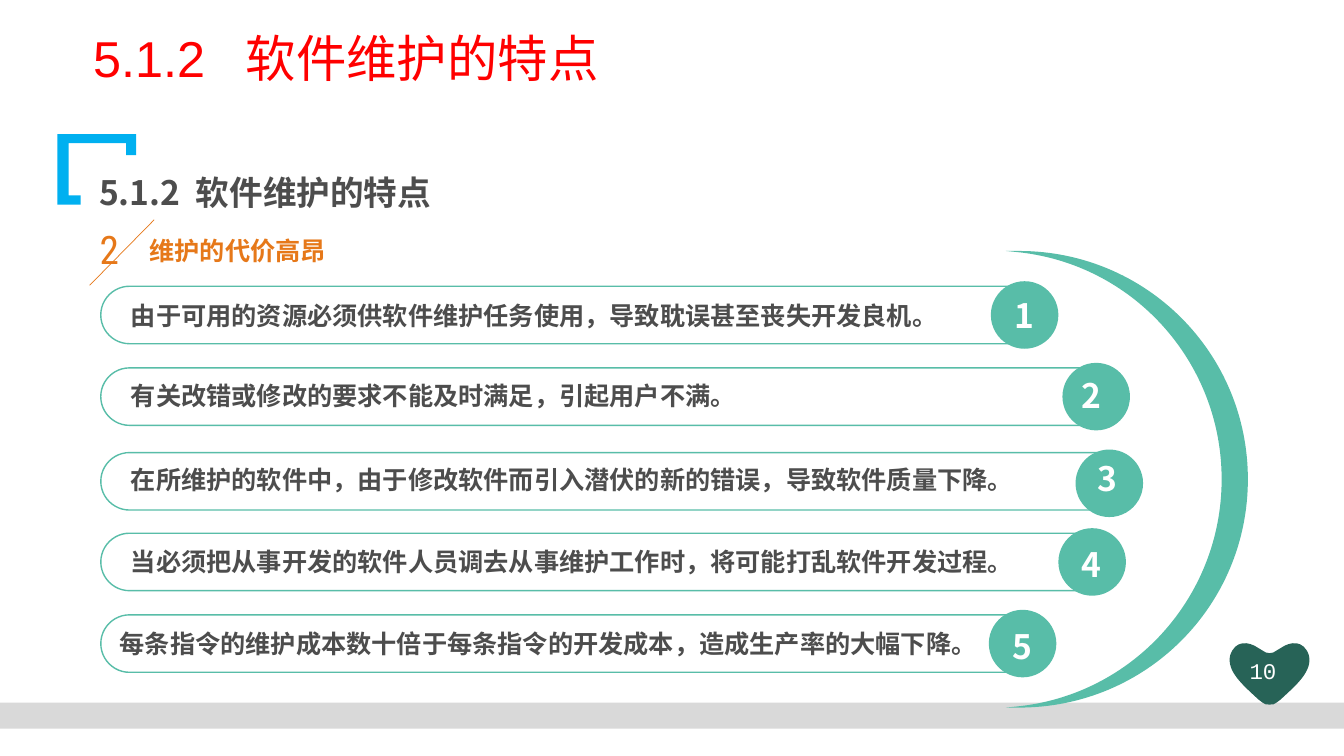
import pptx
import pptx.dml.color
import pptx.enum.shapes
import pptx.enum.text
import pptx.oxml.ns
import pptx.util
from lxml import etree

HUES = {
    "teal": "58BDA8", "pine": "276357", "blue": "00B0F0", "grey": "D9D9D9",
    "red": "FF0000", "ink": "4D4D4D", "gold": "E67819", "white": "FFFFFF",
}
CELL = 91440  # one grid cell is a tenth of an inch
WIDE, HIGH = 133.33, 75
SANS = "Noto Sans CJK SC"
qn = pptx.oxml.ns.qn

HEAD = {"name": "Arial", "size": 36, "bold": False, "color": "red"}
TOPIC = {"name": SANS, "size": 24, "bold": True, "color": "ink"}
POINT = {"name": SANS, "size": 18, "bold": True, "color": "ink"}
LABEL = {"name": SANS, "size": 18, "bold": True, "color": "gold"}
COUNT = {"name": "Roboto Condensed", "size": 28, "bold": False, "color": "gold"}
BADGE = {"name": SANS, "size": 24, "bold": True, "color": "white"}
PAGE = {"name": "Courier New", "size": 16, "bold": False, "color": "white"}

# row top, pill width, badge (left, top), number (left, top),
# text (left, top, width), text
ROWS = [
    (28.4, 94.7, (98.3, 27.9), (99.7, 28.75), (12, 29.3, 83),
     "由于可用的资源必须供软件维护任务使用，导致耽误甚至丧失开发良机。"),
    (36.5, 101.6, (105.4, 36), (106.3, 36.7), (12, 37.2, 98.2),
     "有关改错或修改的要求不能及时满足，引起用户不满。"),
    (44.9, 102.9, (106.7, 44.6), (107.9, 44.9), (12, 45.6, 121.3),
     "在所维护的软件中，由于修改软件而引入潜伏的新的错误，导致软件质量下降。"),
    (52.9, 101.2, (105, 52.4), (106.3, 53.5), (12, 53.7, 101.4),
     "当必须把从事开发的软件人员调去从事维护工作时，将可能打乱软件开发过程。"),
    (61, 94.5, (98.1, 60.5), (99.5, 61.6), (10.9, 61.8, 94.6),
     "每条指令的维护成本数十倍于每条指令的开发成本，造成生产率的大幅下降。"),
]


def grid(*cells):
    return [pptx.util.Emu(round(c * CELL)) for c in cells]


def hue(name):
    return pptx.dml.color.RGBColor.from_string(HUES[name])


def paint(shape, fill, line=None):
    shape.shadow.inherit = False
    shape.fill.solid()
    shape.fill.fore_color.rgb = hue(fill)
    if line:
        shape.line.color.rgb = hue(line)
        shape.line.width = pptx.util.Pt(1)
    else:
        shape.line.fill.background()


def block(slide, kind, box, fill, line=None):
    kind = getattr(pptx.enum.shapes.MSO_SHAPE, kind)
    shape = slide.shapes.add_shape(kind, *grid(*box))
    paint(shape, fill, line)
    return shape


def outline(slide, dots, fill, marks=""):
    """Closed outline; each mark is L (one dot) or C (a curve of three dots)."""
    dots = [(x * 100, y * 100) for x, y in dots]
    draft = slide.shapes.build_freeform(*dots[0], scale=CELL / 100)
    draft.add_line_segments(dots[1:], close=True)
    shape = draft.convert_to_shape()
    paint(shape, fill)
    steps = iter(list(shape._element.iter(qn("a:lnTo"))))
    for mark in marks:
        step = next(steps)
        if mark == "C":
            curve = etree.Element(qn("a:cubicBezTo"))
            step.addprevious(curve)
            for part in (step, next(steps), next(steps)):
                curve.append(part[0])
                part.getparent().remove(part)


def text(slide, box, words, style, space=None, tab=None, align="LEFT", wrap=True):
    """Add one line of text; tab is the stop, in cells, for a gap in it."""
    frame = slide.shapes.add_textbox(*grid(*box)).text_frame
    frame.word_wrap = wrap
    para = frame.paragraphs[0]
    para.alignment = getattr(pptx.enum.text.PP_ALIGN, align)
    if space:
        para.line_spacing = space
    if tab:
        stops = etree.SubElement(para._p.get_or_add_pPr(), qn("a:tabLst"))
        etree.SubElement(stops, qn("a:tab"), pos=str(round(tab * CELL)), algn="l")
    run = para.add_run()
    run.text = words
    for key, value in style.items():
        if key == "color":
            run.font.color.rgb = hue(value)
        else:
            setattr(run.font, key, pptx.util.Pt(value) if key == "size" else value)
    face = etree.SubElement(run._r.get_or_add_rPr(), qn("a:ea"))
    face.set("typeface", SANS)


def slash(slide, start, end, color):
    line = slide.shapes.add_connector(
        pptx.enum.shapes.MSO_CONNECTOR.STRAIGHT, *grid(*start, *end))
    line.line.color.rgb = hue(color)
    line.line.width = pptx.util.Pt(0.5)
    etree.SubElement(line._element.spPr, qn("a:effectLst"))


def heart(slide, mid):
    """Trace the right half upwards, then mirror it."""
    half = [(0, 69.9), (0.3, 69.9), (0.5, 69.9), (0.7, 69.7),
            (0.7, 69.7), (0.7, 69.7), (1.1, 69.4),
            (2.6, 68), (4.3, 66.6), (3.9, 65),
            (3.4, 63.5), (2.1, 63.6), (1.1, 64.3),
            (0.6, 64.6), (0.6, 64.6), (0.6, 64.6),
            (0.5, 64.7), (0.3, 64.8), (0, 64.8)]
    right = [(mid + x, y) for x, y in half]
    left = [(mid - x, y) for x, y in reversed(half)]
    outline(slide, right + left[1:], "pine", "C" * 12)


def moon(slide, mid):
    """Trace the lower half of each edge and mirror it upwards."""
    inner = [(101.1, 22.65), (99.8, 22.65), (100.8, 22.55),
             (112.3, 21.45), (121.2, 11.75), (121.2, 0)]
    outer = [(113.7, 22.65), (123.8, 12.55), (123.8, 0)]
    dots = inner + [(x, -y) for x, y in reversed(inner[:-1])]
    dots += [(x, -y) for x, y in outer] + outer[-2::-1] + inner[:1]
    outline(slide, [(x, mid + y) for x, y in dots], "teal", "LLCCLLCC")


def row(slide, number, top, wide, disc, spot, line, words):
    pill = block(slide, "ROUNDED_RECTANGLE", (10, top, wide, 5.7), "white", "teal")
    pill.adjustments[0] = 0.5
    block(slide, "OVAL", (*disc, 6.7, 6.7), "teal")
    text(slide, (*spot, 3.4, 5.3), str(number), BADGE)
    text(slide, (*line, 4.2), words, POINT)


def main():
    deck = pptx.Presentation()
    deck.slide_width, deck.slide_height = grid(WIDE, HIGH)
    slide = deck.slides.add_slide(deck.slide_layouts[6])

    outline(slide, [(5.7, 13.3), (13.5, 13.3), (13.5, 15.4), (12.5, 15.4),
                    (12.5, 14.2), (6.8, 14.2), (6.8, 19.4), (8, 19.4),
                    (8, 20.3), (5.7, 20.3)], "blue")
    block(slide, "RECTANGLE", (0, 69.7, WIDE, 2.6), "grey")
    heart(slide, 125.95)
    text(slide, (121.8, 64.7, 7, 3.9), "10", PAGE, align="CENTER")

    text(slide, (8.25, 2.9, 92, 9.4), "5.1.2\t软件维护的特点", HEAD, space=0.9, tab=15.15)
    text(slide, (8.85, 15.35, 63.2, 5.7), "5.1.2\t软件维护的特点", TOPIC, space=1.3, tab=9.6)

    moon(slide, 47.55)
    for number, part in enumerate(ROWS, 1):
        row(slide, number, *part)

    text(slide, (8.9, 21.85, 4, 5.7), "2", COUNT, wrap=False)
    slash(slide, (15.3, 21.8), (8.9, 28.3), "gold")
    text(slide, (13.85, 22.9, 29.4, 4), "维护的代价高昂", LABEL)
    deck.save("out.pptx")


if __name__ == "__main__":
    main()
